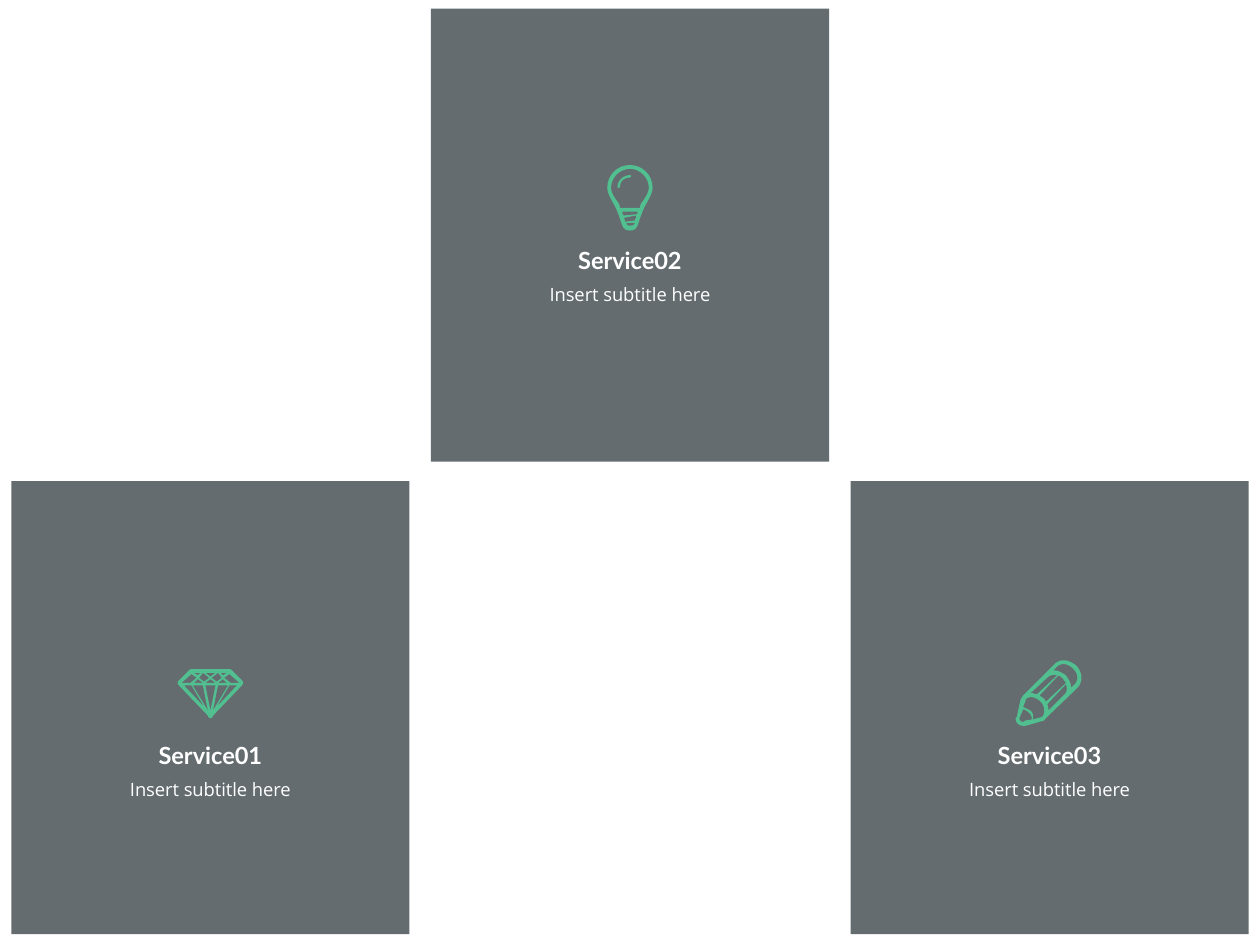
from dataclasses import dataclass

from lxml import etree
from pptx import Presentation
from pptx.dml.color import RGBColor
from pptx.enum.shapes import MSO_SHAPE
from pptx.enum.text import MSO_AUTO_SIZE, PP_ALIGN
from pptx.oxml.ns import qn
from pptx.util import Pt

RECTANGLE = MSO_SHAPE.RECTANGLE
CENTER = PP_ALIGN.CENTER
GROW = MSO_AUTO_SIZE.SHAPE_TO_FIT_TEXT


@dataclass(frozen=True)
class Theme:
    panel: RGBColor = RGBColor(0x31, 0x3C, 0x41)
    panel_alpha: int = 75000
    accent: RGBColor = RGBColor(0x52, 0xBF, 0x90)
    text: RGBColor = RGBColor(0xFF, 0xFF, 0xFF)
    title_font: str = "Lato"
    title_size: float = 13.5
    subtitle_font: str = "Open Sans"
    subtitle_size: float = 10.5


theme = Theme()

# Icon outlines: x from the panel's middle, y from the icon's top, in ICON_UNIT points.
# Each contour starts at a point; (x, y) adds a line and six numbers add a Bézier curve.
ICON_UNIT = 0.72
CURVE_STEPS = 8

diamond_outline = [
    (-25, 9), (-17, 1), (-16, 0, -15, 0, -15, 0), (15, 0), (15, 0, 16, 0, 17, 1),
    (25, 9), (25, 9, 26, 10, 26, 11), (26, 12, 25, 13, 25, 13),
    (2, 37), (2, 38, 1, 39, 0, 39), (-1, 39, -2, 38, -2, 37),
    (-25, 13), (-25, 13, -26, 12, -26, 11), (-26, 10, -25, 9, -25, 9),
]
middle_facets = [
    [(4, 11), (-4, 11), (0, 8)],
    [(0, 6), (-4, 3), (4, 3)],
    [(4, 13), (0, 33), (-4, 13)],
]
right_facets = [
    [(1, 7), (6, 3), (9, 7), (5, 10)],
    [(6, 13), (14, 13), (2, 33)],
    [(6, 11), (10, 8), (13, 11)],
    [(8, 3), (13, 3), (10, 5)],
    [(15, 13), (21, 13), (5, 30)],
    [(16, 11), (11, 7), (15, 4), (23, 11)],
]
left_facets = [[(-x, y) for x, y in facet] for facet in right_facets]
diamond = [diamond_outline, *middle_facets, *right_facets, *left_facets]

bulb = [
    [(0, 0), (-10, 0, -18, 8, -18, 18), (-18, 24, -12, 31, -10, 37),
     (-6, 46, -7, 52, 0, 52), (7, 52, 6, 46, 10, 37),
     (12, 31, 18, 24, 18, 18), (18, 8, 10, 0, 0, 0)],
    [(4, 44), (-4, 45), (-4, 44, -4, 43, -5, 42), (5, 40), (5, 41, 5, 42, 5, 42),
     (4, 43, 4, 43, 4, 44)],
    [(-5, 40), (-6, 39, -6, 38, -6, 37), (6, 37), (6, 38, 6, 38, 6, 39)],
    [(0, 48), (-2, 48, -2, 48, -3, 46), (4, 46), (3, 48, 2, 48, 0, 48)],
    [(8, 34), (-8, 34), (-8, 32, -9, 30, -10, 29), (-13, 25, -15, 21, -15, 18),
     (-15, 10, -8, 3, 0, 3), (8, 3, 15, 10, 15, 18), (15, 21, 13, 25, 10, 29),
     (9, 30, 8, 32, 8, 34)],
]
bulb_glint = [
    [(0, 8), (-5, 8, -10, 12, -10, 18), (-10, 18, -9, 18, -9, 18),
     (-9, 18, -8, 18, -8, 18), (-8, 13, -5, 10, 0, 10), (0, 10, 1, 9, 1, 9),
     (1, 8, 0, 8, 0, 8)],
]

pencil = [
    [(21, 4), (18, 2, 15, 0, 11, 0), (9, 0, 6, 1, 4, 3), (-21, 28),
     (-22, 29, -22, 30, -23, 31), (-26, 45), (-26, 45, -27, 46, -27, 46),
     (-27, 50, -24, 52, -21, 52), (-20, 52, -19, 52, -19, 52), (-5, 48),
     (-4, 48, -4, 47, -3, 46), (22, 22), (27, 17, 26, 9, 21, 4)],
    [(-1, 39), (-1, 37, -1, 36, -2, 35), (13, 19), (14, 22, 14, 25, 12, 27), (-1, 40)],
    [(-3, 33), (-3, 32, -4, 31, -5, 30), (-6, 29, -7, 29, -8, 28), (7, 12),
     (9, 13, 10, 14, 11, 15), (11, 16, 12, 16, 13, 18)],
    [(-10, 27), (-11, 27, -13, 26, -15, 26), (-2, 14), (0, 12, 3, 11, 6, 12)],
    [(-20, 48), (-20, 49, -21, 49, -21, 49), (-22, 49, -24, 48, -24, 46), (-21, 39),
     (-20, 39, -18, 40, -16, 42), (-15, 43, -14, 45, -14, 47)],
    [(-13, 47), (-13, 44, -13, 42, -15, 40), (-17, 39, -19, 38, -21, 37), (-19, 32),
     (-19, 31, -19, 31, -19, 31), (-16, 28, -11, 29, -7, 33), (-4, 36, -3, 42, -6, 45)],
    [(20, 19), (17, 22), (17, 22, 17, 21, 17, 21), (17, 18, 15, 15, 13, 12),
     (10, 10, 7, 8, 3, 8), (6, 5), (7, 4, 9, 3, 11, 3), (14, 3, 17, 5, 19, 7),
     (21, 9, 22, 11, 22, 14), (22, 16, 21, 18, 20, 19)],
]

PANEL_LEFT, PANEL_STEP = 6.5, 239.76
PANEL_WIDTH, PANEL_HEIGHT = 227.5, 258.8
TOP_ROW = (5, 136.8)  # panel top, title top
BOTTOM_ROW = (275, 419.76)
TITLE_WIDTH, TITLE_HEIGHT = 74.9, 23.8
SUBTITLE_WIDTH, SUBTITLE_HEIGHT = 147.6, 26.6
SUBTITLE_DROP = 15.1

services = [  # title, row, icon height above the title, icon parts
    ("Service01", BOTTOM_ROW, 37.44, [diamond]),
    ("Service02", TOP_ROW, 42.48, [bulb, bulb_glint]),
    ("Service03", BOTTOM_ROW, 42.48, [pencil]),
]


def add_icon_part(slide, contours, center, top):
    """Draw closed contours as one shape; inner contours become holes."""
    builder = None
    for start, *segments in contours:
        points = [start]
        for segment in segments:
            if len(segment) == 2:
                points.append(segment)
                continue
            x0, y0 = points[-1]
            x1, y1, x2, y2, x3, y3 = segment
            for step in range(1, CURVE_STEPS + 1):
                t = step / CURVE_STEPS
                a, b, c, d = (1 - t) ** 3, 3 * t * (1 - t) ** 2, 3 * t * t * (1 - t), t ** 3
                points.append((a * x0 + b * x1 + c * x2 + d * x3,
                               a * y0 + b * y1 + c * y2 + d * y3))
        placed = [(Pt(center + x * ICON_UNIT), Pt(top + y * ICON_UNIT)) for x, y in points]
        if builder is None:
            builder = slide.shapes.build_freeform(*placed[0])
        else:
            builder.move_to(*placed[0])
        builder.add_line_segments(placed[1:], close=True)
    shape = builder.convert_to_shape()
    shape.shadow.inherit = False
    shape.fill.solid()
    shape.fill.fore_color.rgb = theme.accent
    shape.line.fill.background()


def add_label(slide, text, center, top, width, height, font, size, wrap):
    box = slide.shapes.add_textbox(Pt(center - width / 2), Pt(top), Pt(width), Pt(height))
    box.text_frame.word_wrap = wrap
    box.text_frame.auto_size = GROW
    paragraph = box.text_frame.paragraphs[0]
    paragraph.text = text
    paragraph.alignment = CENTER
    paragraph.font.name = font
    paragraph.font.size = Pt(size)
    paragraph.font.color.rgb = theme.text
    return paragraph


presentation = Presentation()
presentation.slide_width, presentation.slide_height = Pt(720), Pt(540)
slide = presentation.slides.add_slide(presentation.slide_layouts[6])

for column, (title, (panel_top, title_top), icon_rise, icon_parts) in enumerate(services):
    left = PANEL_LEFT + column * PANEL_STEP
    center = left + PANEL_WIDTH / 2

    panel = slide.shapes.add_shape(
        RECTANGLE, Pt(left), Pt(panel_top), Pt(PANEL_WIDTH), Pt(PANEL_HEIGHT))
    panel.shadow.inherit = False
    panel.fill.solid()
    panel.fill.fore_color.rgb = theme.panel
    panel.line.fill.background()
    color = panel.fill._xPr.find(qn("a:solidFill"))[0]
    etree.SubElement(color, qn("a:alpha"), val=str(theme.panel_alpha))

    heading = add_label(slide, title, center, title_top, TITLE_WIDTH, TITLE_HEIGHT,
                        theme.title_font, theme.title_size, wrap=False)
    heading.font.bold = True
    subtitle = add_label(slide, "Insert subtitle here", center, title_top + SUBTITLE_DROP,
                         SUBTITLE_WIDTH, SUBTITLE_HEIGHT,
                         theme.subtitle_font, theme.subtitle_size, wrap=True)
    subtitle.line_spacing = 1.5

    for part in icon_parts:
        add_icon_part(slide, part, center, title_top - icon_rise)

presentation.save("out.pptx")
